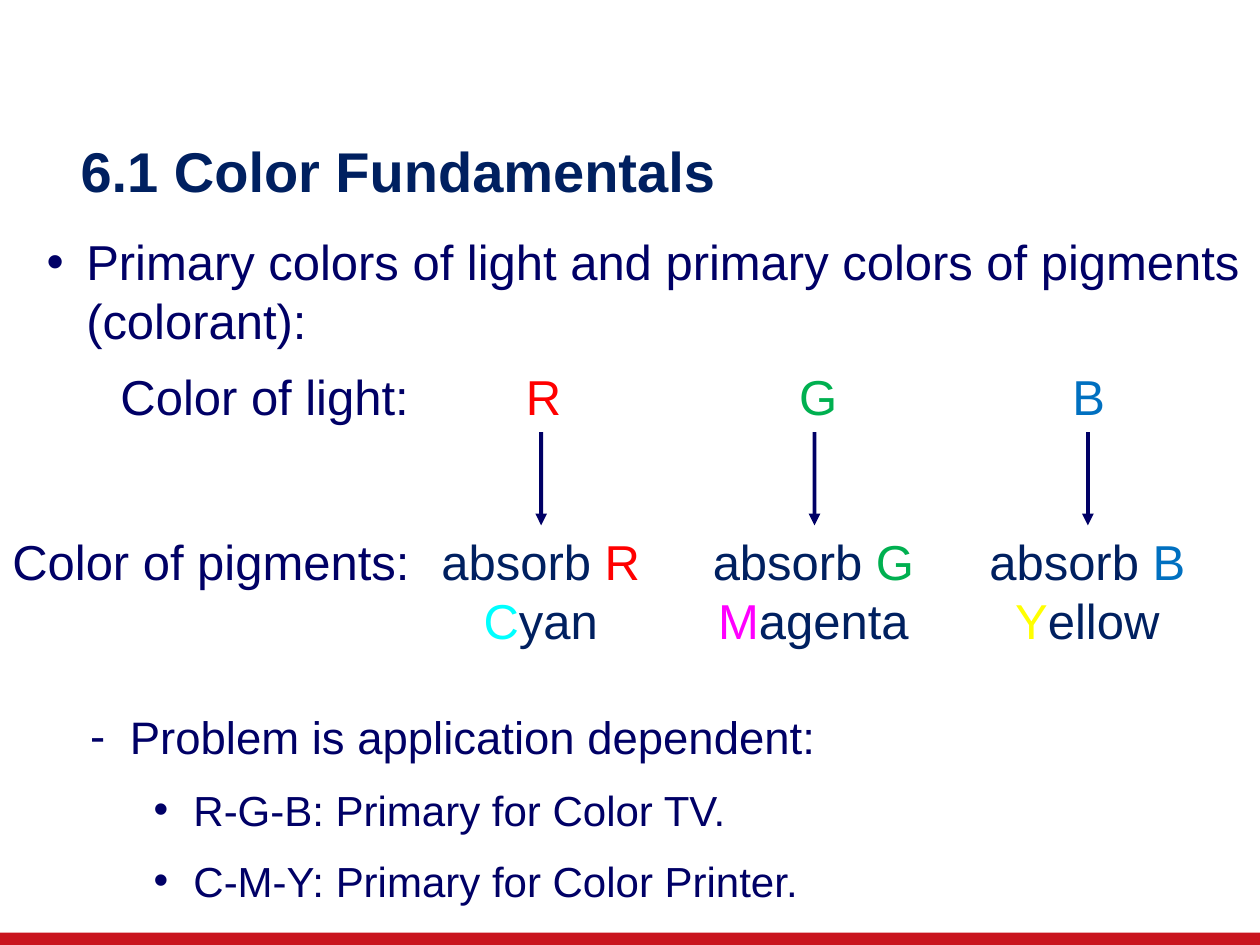
from lxml.etree import SubElement
from pptx import Presentation
from pptx.dml.color import RGBColor
from pptx.enum.shapes import MSO_CONNECTOR, MSO_SHAPE
from pptx.enum.text import MSO_ANCHOR, PP_ALIGN
from pptx.oxml.ns import qn
from pptx.util import Cm, Pt

NAVY = "000066"
DARK_BLUE = "002060"
FOOTER_RED = "C9151E"

# Light letter, its colour, pigment, pigment colour, width of pigment label
COLUMNS = [
    ("R", "FF0000", "Cyan", "00FFFF", 4.52),
    ("G", "00B050", "Magenta", "FF00FF", 4.6),
    ("B", "0070C0", "Yellow", "FFFF00", 4.47),
]
FIRST_CENTER, COLUMN_STEP = 10.91, 5.51
LIGHT_TOP, PIGMENT_TOP = 7.26, 10.59
LINE_HEIGHT, TWO_LINE_HEIGHT = 1.45, 2.64


def rgb(value):
    return RGBColor.from_string(value)


def style(font, size, color):
    font.name = "Arial"
    font.size = Pt(size)
    font.color.rgb = rgb(color)


def add_box(slide, left, top, width, height, wrap=False):
    box = slide.shapes.add_textbox(Cm(left), Cm(top), Cm(width), Cm(height))
    box.text_frame.word_wrap = wrap
    return box


def add_label(slide, left, top, width, text, color):
    label = add_box(slide, left, top, width, LINE_HEIGHT)
    line = label.text_frame.paragraphs[0]
    line.text = text
    style(line.font, 28, color)
    return label


def add_pigment(slide, center, letter, light_color, pigment, pigment_color, width):
    label = add_box(slide, center - width / 2, PIGMENT_TOP, width, TWO_LINE_HEIGHT)
    absorbed = label.text_frame.paragraphs[0]
    name = label.text_frame.add_paragraph()
    name.alignment = PP_ALIGN.CENTER
    for line, text, color in (
        (absorbed, "absorb ", DARK_BLUE),
        (absorbed, letter, light_color),
        (name, pigment[0], pigment_color),
        (name, pigment[1:], DARK_BLUE),
    ):
        run = line.add_run()
        run.text = text
        style(run.font, 28, color)
    return label


def add_arrow(slide, source, target):
    arrow = slide.shapes.add_connector(MSO_CONNECTOR.STRAIGHT, 0, 0, 0, 0)
    arrow.begin_connect(source, 2)
    arrow.end_connect(target, 0)
    arrow.line.color.rgb = rgb(NAVY)
    arrow.line.width = Pt(2.25)
    SubElement(arrow.line._get_or_add_ln(), qn("a:tailEnd"), type="triangle")
    SubElement(arrow._element.spPr, qn("a:effectLst"))


def add_bullets(slide, left, top, width, height, items, line_spacing=1.0):
    """Each item is text, bullet sign, level, indent in cm and size in points."""
    frame = add_box(slide, left, top, width, height, wrap=True).text_frame
    for index, (text, sign, level, indent, size) in enumerate(items):
        item = frame.add_paragraph() if index else frame.paragraphs[0]
        item.text = text
        item.level = level
        item.line_spacing = line_spacing
        if index:
            item.space_before = Pt(6)
        properties = item._p.get_or_add_pPr()
        properties.set("marL", str(Cm(indent)))
        properties.set("indent", str(-Cm(0.8)))
        SubElement(properties, qn("a:buFont"), typeface="Arial")
        SubElement(properties, qn("a:buChar"), char=sign)
        style(item.font, size, NAVY)


def add_title(slide, text):
    title = slide.shapes.title
    title.left, title.top = Cm(1.37), Cm(2.72)
    title.width, title.height = Cm(23.27), Cm(1.6)
    title.text_frame.text = text
    title.text_frame.vertical_anchor = MSO_ANCHOR.MIDDLE
    heading = title.text_frame.paragraphs[0]
    heading.alignment = PP_ALIGN.LEFT
    heading.line_spacing = 0.9
    style(heading.font, 32, DARK_BLUE)
    heading.font.bold = True


def add_footer_bar(slide):
    bar = slide.shapes.add_shape(
        MSO_SHAPE.RECTANGLE, 0, Cm(18.8), Cm(25.4), Cm(0.25))
    bar.shadow.inherit = False
    bar.fill.solid()
    bar.fill.fore_color.rgb = rgb(FOOTER_RED)
    bar.line.fill.background()


def main():
    deck = Presentation()
    deck.slide_width, deck.slide_height = Cm(25.4), Cm(19.05)
    slide = deck.slides.add_slide(deck.slide_layouts[5])
    add_footer_bar(slide)
    add_title(slide, "6.1 Color Fundamentals")

    # Statements above and below the colour scheme
    add_bullets(slide, 0.69, 4.55, 24.71, 2.64, [
        ("Primary colors of light and primary colors of pigments (colorant):",
         "•", 0, 0.8, 28),
    ])
    add_bullets(slide, 1.57, 13.95, 23.06, 4.36, [
        ("Problem is application dependent:", "-", 0, 0.8, 26),
        ("R-G-B: Primary for Color TV.", "•", 1, 2.08, 24),
        ("C-M-Y: Primary for Color Printer.", "•", 1, 2.08, 24),
    ], line_spacing=1.2)

    # Row headings
    add_label(slide, 2.18, LIGHT_TOP, 6.81, "Color of light:", NAVY)
    add_label(slide, 0, PIGMENT_TOP, 8.64, "Color of pigments:", NAVY)

    # One column for each primary colour
    for index, (letter, light_color, *pigment) in enumerate(COLUMNS):
        center = FIRST_CENTER + index * COLUMN_STEP
        light = add_label(slide, center - 0.56, LIGHT_TOP, 1.12, letter, light_color)
        absorbed = add_pigment(slide, center, letter, light_color, *pigment)
        add_arrow(slide, light, absorbed)

    deck.save("out.pptx")


if __name__ == "__main__":
    main()
